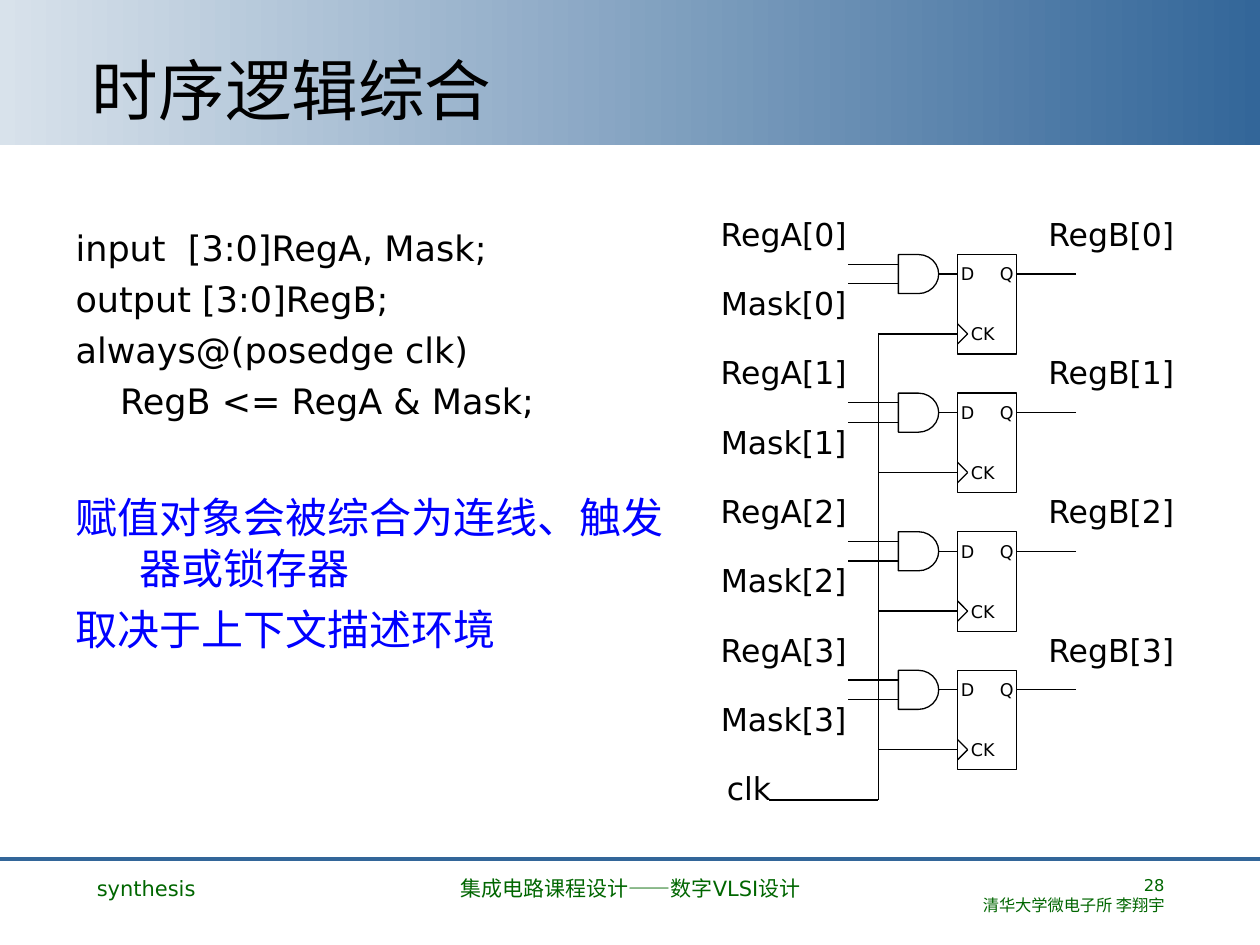
from pptx import Presentation
from pptx.dml.color import RGBColor
from pptx.enum.shapes import MSO_CONNECTOR, MSO_SHAPE
from pptx.enum.text import MSO_ANCHOR, MSO_AUTO_SIZE, PP_ALIGN
from pptx.oxml.xmlchemy import OxmlElement
from pptx.util import Inches, Pt

COLORS = {"ink": "000000", "note": "0000FF", "footer": "006600",
          "rule": "336699", "pale": "D8E2EB"}
FONT = "DejaVu Sans"

TITLE = "时序逻辑综合"
CODE = [
    "input  [3:0]RegA, Mask;",
    "output [3:0]RegB;",
    "always@(posedge clk)",
    "    RegB <= RegA & Mask;",
]
NOTES = ["赋值对象会被综合为连线、触发器或锁存器", "取决于上下文描述环境"]
FOOTERS = [
    (["synthesis"], 0.67, 2.17, 12, PP_ALIGN.LEFT),
    (["集成电路课程设计——数字VLSI设计"], 3.42, 3.17, 12, PP_ALIGN.CENTER),
    (["28", "清华大学微电子所 李翔宇"], 7.17, 2.17, 9.3, PP_ALIGN.RIGHT),
]

BITS = 4
BIT_PITCH = 1.1
FIRST_LABEL, FIRST_GATE = 1.62, 2.02
INPUT_LABEL_X, OUTPUT_LABEL_X = 5.71, 8.31
INPUT_X, BUS_X, GATE_X, STUB_X, FLOP_X = 6.73, 6.97, 7.13, 7.44, 7.6
GATE_W, GATE_H = 0.32, 0.31
FLOP_W, FLOP_H = 0.47, 0.79
PIN = 0.16
DATA_DY, CLOCK_DY = GATE_H / 2, 0.63
CLK_Y = 6.35


def color(name):
    return RGBColor.from_string(COLORS[name])


def write(paragraph, text, size=18, ink="ink", align=PP_ALIGN.LEFT, before=0, hanging=None):
    paragraph.alignment = align
    paragraph.space_before = Pt(before)
    if hanging is not None:
        properties = paragraph._p.get_or_add_pPr()
        properties.set("marL", str(Inches(hanging)))
        properties.set("indent", str(-Inches(hanging)))
        properties.append(OxmlElement("a:buNone"))
    run = paragraph.add_run()
    run.text = text
    run.font.size = Pt(size)
    run.font.name = FONT
    run.font.color.rgb = color(ink)


def place(shape, left, top, width, height):
    shape.left, shape.top = Inches(left), Inches(top)
    shape.width, shape.height = Inches(width), Inches(height)


def next_paragraph(frame, index):
    return frame.add_paragraph() if index else frame.paragraphs[0]


def label(shapes, text, left, top, width, height, size=18):
    frame = shapes.add_textbox(*map(Inches, (left, top, width, height))).text_frame
    frame.word_wrap = False
    frame.margin_left = frame.margin_right = frame.margin_top = frame.margin_bottom = 0
    frame.vertical_anchor = MSO_ANCHOR.MIDDLE
    write(frame.paragraphs[0], text, size=size, align=PP_ALIGN.CENTER)


def wire(shapes, x1, y1, x2, y2, ink="ink", width=0.75):
    line = shapes.add_connector(MSO_CONNECTOR.STRAIGHT, *map(Inches, (x1, y1, x2, y2)))
    line.line.color.rgb = color(ink)
    line.line.width = Pt(width)
    line._element.spPr.append(OxmlElement("a:effectLst"))
    return line


def outline(shapes, kind, left, top, width, height):
    symbol = shapes.add_shape(kind, *map(Inches, (left, top, width, height)))
    symbol.shadow.inherit = False
    symbol.fill.background()
    symbol.line.color.rgb = color("ink")
    symbol.line.width = Pt(0.75)
    return symbol


def add_flop(shapes, top, gate):
    flop = shapes.add_group_shape().shapes
    data_y, clock_y = top + DATA_DY, top + CLOCK_DY
    right = FLOP_X + FLOP_W
    outline(flop, MSO_SHAPE.RECTANGLE, FLOP_X, top, FLOP_W, FLOP_H)
    for edge_y in (clock_y - PIN / 2, clock_y + PIN / 2):
        wire(flop, FLOP_X, edge_y, FLOP_X + PIN / 2, clock_y)
    wire(flop, FLOP_X, clock_y, STUB_X, clock_y)
    wire(flop, FLOP_X, data_y, STUB_X, data_y).end_connect(gate, 3)
    wire(flop, right, data_y, right + PIN, data_y)
    for pin, left, middle, width in (
        ("D", FLOP_X, data_y, PIN),
        ("Q", right - PIN, data_y, PIN),
        ("CK", FLOP_X + PIN / 2, clock_y, 0.24),
    ):
        label(flop, pin, left, middle - PIN / 2, width, PIN, size=10)


def add_bit(shapes, bit):
    label_top = FIRST_LABEL + bit * BIT_PITCH
    top = FIRST_GATE + bit * BIT_PITCH
    for name, left, drop in (
        ("RegA", INPUT_LABEL_X, 0),
        ("Mask", INPUT_LABEL_X, BIT_PITCH / 2),
        ("RegB", OUTPUT_LABEL_X, 0),
    ):
        label(shapes, f"{name}[{bit}]", left, label_top + drop, 1.02, 0.47)
    gate = outline(shapes, MSO_SHAPE.FLOWCHART_DELAY, GATE_X, top, GATE_W, GATE_H)
    for share in (0.25, 0.75):
        input_y = top + GATE_H * share
        wire(shapes, GATE_X, input_y, INPUT_X, input_y)
    wire(shapes, 8.54, top + DATA_DY, 8.15, top + DATA_DY)
    add_flop(shapes, top, gate)
    wire(shapes, STUB_X, top + CLOCK_DY, BUS_X, top + CLOCK_DY)


def add_header(slide):
    title = slide.shapes.title
    band = slide.shapes.add_shape(MSO_SHAPE.RECTANGLE, 0, 0, Inches(10), Inches(1.15))
    band.shadow.inherit = False
    band.line.fill.background()
    band.fill.gradient()
    band.fill.gradient_angle = 0
    for stop, position, name in zip(band.fill.gradient_stops, (0, 1), ("pale", "rule")):
        stop.position = position
        stop.color.rgb = color(name)
    title._element.addprevious(band._element)
    place(title, 0.63, 0.33, 8.75, 0.74)
    title.text_frame.auto_size = MSO_AUTO_SIZE.NONE
    title.text_frame.vertical_anchor = MSO_ANCHOR.BOTTOM
    write(title.text_frame.paragraphs[0], TITLE, size=38)


def add_body(body):
    place(body, 0.5, 1.75, 4.92, 4.68)
    frame = body.text_frame
    frame.auto_size = MSO_AUTO_SIZE.NONE
    for index, text in enumerate(CODE):
        write(next_paragraph(frame, index), text, size=20, before=5 if index else 0, hanging=0.51)
    for index, text in enumerate(NOTES):
        write(frame.add_paragraph(), text, size=24, ink="note",
              before=6 if index else 40.5, hanging=0.51)


def add_footer(shapes):
    wire(shapes, 0, 6.82, 10, 6.82, ink="rule", width=2.25)
    for lines, left, width, size, align in FOOTERS:
        frame = shapes.add_textbox(*map(Inches, (left, 6.9, width, 0.45))).text_frame
        frame.word_wrap = True
        for index, text in enumerate(lines):
            write(next_paragraph(frame, index), text, size=size, ink="footer", align=align)


def main():
    """Build the sequential logic synthesis slide."""
    deck = Presentation()
    deck.slide_width, deck.slide_height = Inches(10), Inches(7.5)
    slide = deck.slides.add_slide(deck.slide_layouts[1])
    shapes = slide.shapes
    add_header(slide)
    add_body(slide.placeholders[1])
    for bit in range(BITS):
        add_bit(shapes, bit)
    wire(shapes, BUS_X, FIRST_GATE + CLOCK_DY, BUS_X, CLK_Y)
    wire(shapes, BUS_X, CLK_Y, 6.1, CLK_Y)
    label(shapes, "clk", INPUT_LABEL_X, FIRST_LABEL + BITS * BIT_PITCH, 0.47, 0.47)
    add_footer(shapes)
    deck.save("out.pptx")


if __name__ == "__main__":
    main()
